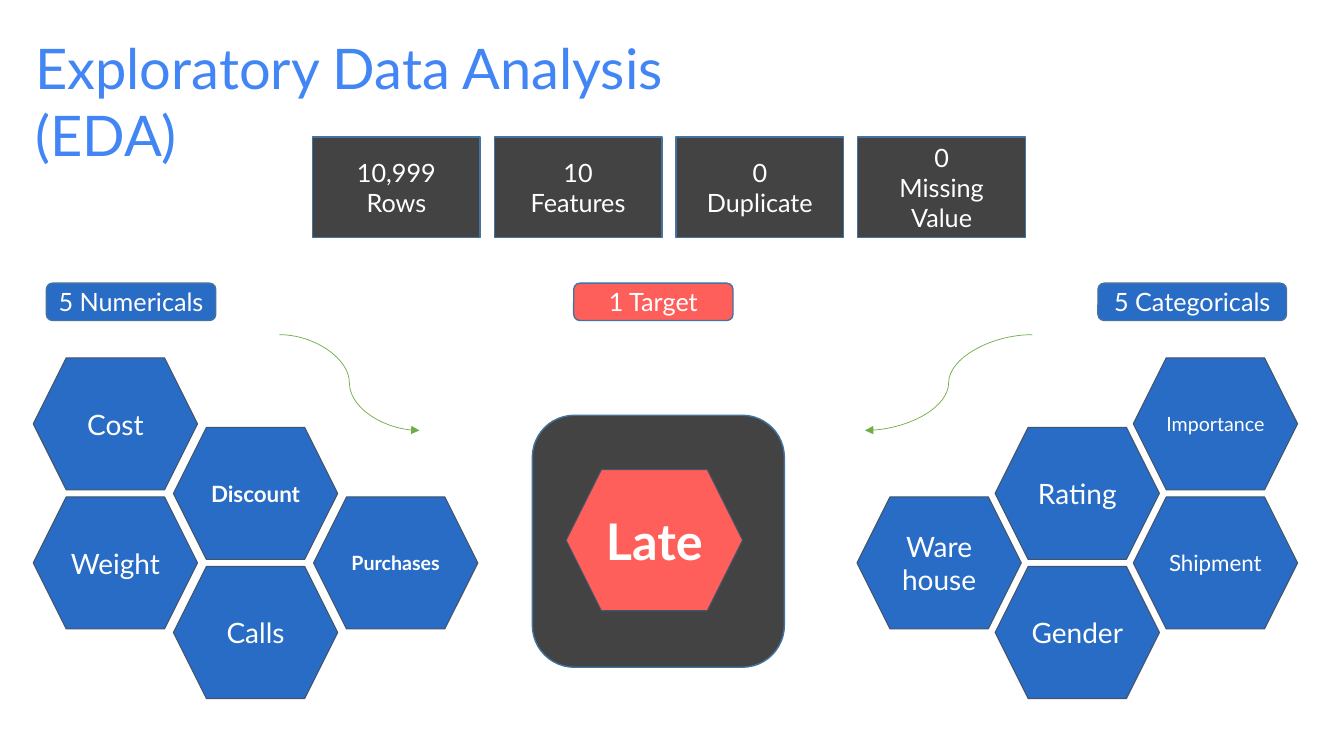
from lxml.etree import SubElement
from pptx import Presentation
from pptx.dml.color import RGBColor
from pptx.enum.shapes import MSO_CONNECTOR as CONNECTOR, MSO_SHAPE as SHAPE
from pptx.enum.text import MSO_ANCHOR as ANCHOR, MSO_AUTO_SIZE as AUTO_SIZE, PP_ALIGN as ALIGN
from pptx.oxml.ns import qn
from pptx.util import Inches, Pt

BLUE, CORAL, CHARCOAL = "286CC5", "FF5F5A", "434343"
TITLE_BLUE, WHITE, GREEN = "4285F4", "FFFFFF", "70AD47"
EDGE, HEX_EDGE = "43739E", "44546A"
FONT = "Lato"


def color(value):
    return RGBColor.from_string(value)


def style_text(frame, size, hue=WHITE, bold=False, align=ALIGN.CENTER):
    for paragraph in frame.paragraphs:
        paragraph.alignment = align
        for run in paragraph.runs:
            run.font.name = FONT
            run.font.size = Pt(size)
            run.font.bold = bold
            run.font.color.rgb = color(hue)


def add_block(slide, kind, box, fill, edge=EDGE, edge_width=1):
    block = slide.shapes.add_shape(kind, *map(Inches, box))
    block.shadow.inherit = False
    block.fill.solid()
    block.fill.fore_color.rgb = color(fill)
    block.line.color.rgb = color(edge)
    block.line.width = Pt(edge_width)
    block.text_frame.word_wrap = True
    block.text_frame.vertical_anchor = ANCHOR.MIDDLE
    return block


def add_heading(slide, box, text):
    heading = slide.shapes.title
    heading.left, heading.top, heading.width, heading.height = map(Inches, box)
    frame = heading.text_frame
    frame.text = text
    frame.word_wrap = True
    frame.auto_size = AUTO_SIZE.NONE
    frame.vertical_anchor = ANCHOR.TOP
    style_text(frame, 40, TITLE_BLUE, align=ALIGN.LEFT)


def add_facts(slide, box, facts, gap=0.14):
    left, top, width, height = box
    card_width = (width - gap * (len(facts) - 1)) / len(facts)
    for index, fact in enumerate(facts):
        card_left = left + index * (card_width + gap)
        card = add_block(slide, SHAPE.RECTANGLE, (card_left, top, card_width, height), CHARCOAL)
        card.text_frame.text = fact
        style_text(card.text_frame, 18)


def add_badge(slide, box, label, fill):
    badge = add_block(slide, SHAPE.ROUNDED_RECTANGLE, box, fill)
    badge.text_frame.text = label
    style_text(badge.text_frame, 18)


def add_hexagon(slide, box, label, size, bold=False, fill=BLUE):
    hexagon = add_block(slide, SHAPE.HEXAGON, box, fill, HEX_EDGE, 0.75)
    hexagon.adjustments[0] = 0.25
    frame = hexagon.text_frame
    frame.margin_left = frame.margin_right = Inches(0.07)
    frame.margin_top = frame.margin_bottom = Inches(0.07)
    frame.text = label
    style_text(frame, size, bold=bold)


def add_honeycomb(slide, box, features):
    left, top, width, height = box
    cell_width, cell_height = 1.63, 1.31
    column_step = (width - cell_width) / 2
    row_step = (height - cell_height) / 3
    for column, row, label, size, bold in features:
        cell = (left + column * column_step, top + row * row_step, cell_width, cell_height)
        add_hexagon(slide, cell, label, size, bold)


def add_target(slide, box):
    left, top, width, height = box
    add_block(slide, SHAPE.ROUNDED_RECTANGLE, box, CHARCOAL)
    late_width, late_height = 1.75, 1.4
    late_left = left + (width - late_width) / 2 - 0.04
    late_top = top + (height - late_height) / 2 - 0.01
    add_hexagon(slide, (late_left, late_top, late_width, late_height), "Late", 36, True, CORAL)


def add_arrow(slide, start, end):
    arrow = slide.shapes.add_connector(CONNECTOR.CURVE, *map(Inches, start + end))
    arrow.line.color.rgb = color(GREEN)
    arrow.line.width = Pt(0.5)
    properties = arrow._element.spPr
    SubElement(properties.find(qn("a:ln")), qn("a:tailEnd"), type="triangle")
    SubElement(properties, qn("a:effectLst"))


def main():
    deck = Presentation()
    deck.slide_width, deck.slide_height = Inches(13.33), Inches(7.5)
    slide = deck.slides.add_slide(deck.slide_layouts[5])

    add_heading(slide, (0.25, 0.28, 7.96, 0.77), "Exploratory Data Analysis (EDA)")
    add_facts(slide, (3.1, 1.36, 7.07, 1),
              ["10,999\nRows", "10\nFeatures", "0\nDuplicate", "0\nMissing Value"])

    badges = [
        (0.46, 1.68, "5 Numericals", BLUE),
        (5.69, 1.58, "1 Target", CORAL),
        (10.89, 1.87, "5 Categoricals", BLUE),
    ]
    for left, width, label, fill in badges:
        add_badge(slide, (left, 2.81, width, 0.37), label, fill)

    add_honeycomb(slide, (0.33, 3.55, 4.41, 3.38), [
        (0, 0, "Cost", 20, False),
        (1, 1, "Discount", 16, True),
        (0, 2, "Weight", 20, False),
        (1, 3, "Calls", 20, False),
        (2, 2, "Purchases", 14, True),
    ])
    add_target(slide, (5.28, 4.12, 2.5, 2.5))
    add_honeycomb(slide, (8.5, 3.55, 4.37, 3.38), [
        (2, 0, "Importance", 14, False),
        (1, 1, "Rating", 20, False),
        (0, 2, "Ware\nhouse", 20, False),
        (1, 3, "Gender", 20, False),
        (2, 2, "Shipment", 16, False),
    ])
    add_arrow(slide, (2.77, 3.32), (4.16, 4.27))
    add_arrow(slide, (10.24, 3.32), (8.58, 4.27))
    deck.save("out.pptx")


if __name__ == "__main__":
    main()
